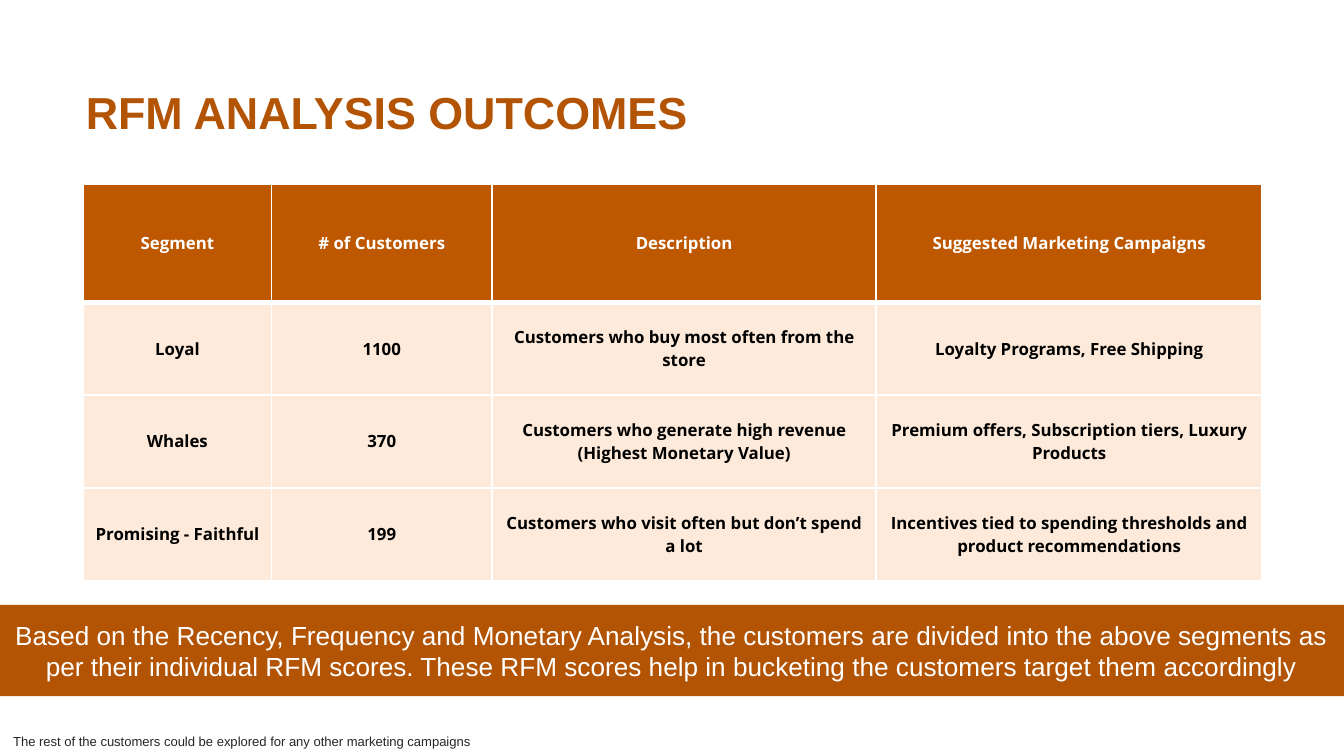
from dataclasses import dataclass

from lxml import etree
from pptx import Presentation
from pptx.dml.color import RGBColor
from pptx.enum.shapes import MSO_SHAPE
from pptx.enum.text import MSO_ANCHOR, PP_ALIGN
from pptx.oxml.ns import qn
from pptx.util import Inches, Pt

RECTANGLE = MSO_SHAPE.RECTANGLE
MIDDLE = MSO_ANCHOR.MIDDLE
TOP = MSO_ANCHOR.TOP
LEFT = PP_ALIGN.LEFT
CENTER = PP_ALIGN.CENTER


@dataclass(frozen=True)
class Theme:
    accent: str = "B25403"
    header: str = "BD5800"
    body: str = "FDEADA"
    light: str = "FFFFFF"
    dark: str = "000000"
    note: str = "262626"
    font: str = "Arial"
    table_font: str = "Open Sans"
    title_size: int = 24
    banner_size: int = 14
    table_size: int = 9
    note_size: int = 7


THEME = Theme()
BLANK_LAYOUT = 6
SLIDE_WIDTH = 10
SLIDE_HEIGHT = SLIDE_WIDTH * 9 / 16
COLUMN_WIDTHS = (1.4, 1.64, 2.86, 2.87)
ROW_HEIGHTS = (0.88, 0.69, 0.69, 0.69)
SEGMENT_ROWS = (
    ("Segment", "# of Customers", "Description", "Suggested Marketing Campaigns"),
    ("Loyal", "1100", "Customers who buy most often from the store",
     "Loyalty Programs, Free Shipping"),
    ("Whales", "370", "Customers who generate high revenue (Highest Monetary Value)",
     "Premium offers, Subscription tiers, Luxury Products"),
    ("Promising - Faithful", "199", "Customers who visit often but don’t spend a lot",
     "Incentives tied to spending thresholds and product recommendations"),
)


def set_fill(target, color):
    target.fill.solid()
    target.fill.fore_color.rgb = RGBColor.from_string(color)


def set_text(text_frame, text, size, color, bold=False, align=LEFT, font=THEME.font):
    text_frame.word_wrap = True
    text_frame.text = text
    paragraph = text_frame.paragraphs[0]
    paragraph.alignment = align
    run_font = paragraph.runs[0].font
    run_font.name = font
    run_font.size = Pt(size)
    run_font.bold = bold
    run_font.color.rgb = RGBColor.from_string(color)


def add_text(slide, box, text, size, color, bold=False, anchor=TOP):
    shape = slide.shapes.add_textbox(*map(Inches, box))
    set_text(shape.text_frame, text, size, color, bold)
    shape.text_frame.vertical_anchor = anchor


def add_banner(slide, box, text):
    shape = slide.shapes.add_shape(RECTANGLE, *map(Inches, box))
    shape.shadow.inherit = False
    set_fill(shape, THEME.accent)
    shape.line.fill.background()
    set_text(shape.text_frame, text, THEME.banner_size, THEME.light, align=CENTER)
    shape.text_frame.vertical_anchor = MIDDLE


def set_borders(cell, bottom_width, top_width):
    properties = cell._tc.get_or_add_tcPr()
    widths = {"a:lnL": 1, "a:lnR": 1, "a:lnT": top_width, "a:lnB": bottom_width}
    for position, (tag, width) in enumerate(widths.items()):
        line = etree.Element(qn(tag), w=str(Pt(width)))
        fill = etree.SubElement(line, qn("a:solidFill"))
        etree.SubElement(fill, qn("a:srgbClr"), val=THEME.light)
        properties.insert(position, line)


def format_cell(cell, text, row_index):
    is_header = row_index == 0
    cell.margin_left = cell.margin_right = Inches(0.07)
    cell.margin_top = cell.margin_bottom = Inches(0.07)
    cell.vertical_anchor = MIDDLE
    set_fill(cell, THEME.header if is_header else THEME.body)
    set_text(cell.text_frame, text, THEME.table_size,
             THEME.light if is_header else THEME.dark,
             bold=True, align=CENTER, font=THEME.table_font)
    set_borders(cell, 3 if is_header else 1, 3 if row_index == 1 else 1)


def add_segment_table(slide, left, top):
    frame = slide.shapes.add_table(
        len(ROW_HEIGHTS), len(COLUMN_WIDTHS), Inches(left), Inches(top),
        Inches(sum(COLUMN_WIDTHS)), Inches(sum(ROW_HEIGHTS)))
    table = frame.table
    for column, width in zip(table.columns, COLUMN_WIDTHS):
        column.width = Inches(width)
    for row_index, (row, height) in enumerate(zip(table.rows, ROW_HEIGHTS)):
        row.height = Inches(height)
        for cell, text in zip(row.cells, SEGMENT_ROWS[row_index]):
            format_cell(cell, text, row_index)


def main():
    presentation = Presentation()
    presentation.slide_width = Inches(SLIDE_WIDTH)
    presentation.slide_height = Inches(SLIDE_HEIGHT)
    slide = presentation.slides.add_slide(presentation.slide_layouts[BLANK_LAYOUT])
    add_text(slide, (0.54, 0.49, 9, 0.68), "RFM ANALYSIS OUTCOMES",
             THEME.title_size, THEME.accent, bold=True, anchor=MIDDLE)
    add_segment_table(slide, 0.62, 1.37)
    add_text(slide, (0, 5.41, 9.43, 0.21),
             "The rest of the customers could be explored for any other marketing campaigns",
             THEME.note_size, THEME.note)
    add_banner(slide, (0, 4.5, SLIDE_WIDTH, 0.68),
               "Based on the Recency, Frequency and Monetary Analysis, the customers are "
               "divided into the above segments as per their individual RFM scores. These RFM "
               "scores help in bucketing the customers target them accordingly")
    presentation.save("out.pptx")


main()
